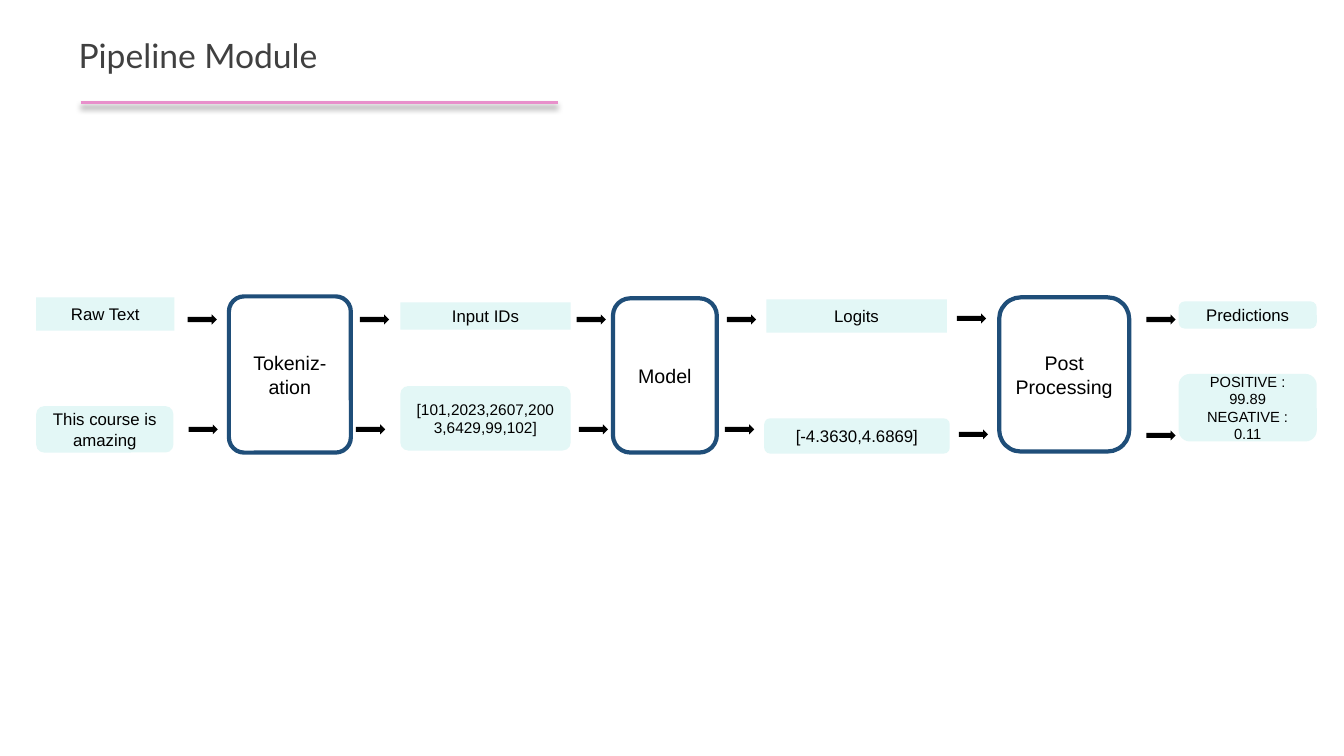
import pptx
import pptx.dml.color
import pptx.enum.shapes
import pptx.enum.text
import pptx.oxml
import pptx.oxml.ns
import pptx.util

# Content: lengths in px, 100 px to the inch
SLIDE_SIZE = (1333, 750)
TITLE = "Pipeline Module"
TITLE_BOX = (68, -15, 1150, 145)
TITLE_RULE = (80, 102, 553, 102)

# Text lines, box (left, top, width, height), corner ratio, font size
STAGES = [
    (["Tokeniz-ation"], (227, 294, 121, 155), 0.125, 14),
    (["Model"], (608, 296, 103, 153), 0.167, 14),
    (["Post Processing"], (991, 295, 129, 153), 0.167, 14),
]
DATA_LABELS = [
    (["Raw Text"], (36, 295, 137, 33), 0, 12),
    (["Input IDs"], (397, 300, 169, 27), 0, 12),
    (["Logits"], (760, 297, 179, 33), 0, 12),
    (["Predictions"], (1169, 299, 137, 27), 0.226, 12),
]
DATA_EXAMPLES = [
    (["This course is amazing"], (36, 403, 136, 46), 0.167, 12),
    (["[101,2023,2607,2003,6429,99,102]"], (397, 383, 169, 64), 0.125, 11),
    (["[-4.3630,4.6869]"], (758, 415, 184, 35), 0.167, 12),
    (["POSITIVE : 99.89", "NEGATIVE : 0.11"], (1169, 371, 137, 67), 0.167, 10.5),
]

# Left and top of each arrow
ARROWS = [
    (186, 312), (357, 312), (572, 312), (721, 312), (949, 311), (1137, 312),
    (187, 421), (353, 421), (574, 421), (719, 421), (951, 426), (1137, 427),
]
ARROW_SIZE = (29, 10)

COLORS = {
    "title": "404040",
    "rule": "E890CB",
    "text": "000000",
    "arrow": "000000",
    "stage": "FFFFFF",
    "stage_line": "1F4E79",
    "data": "E3F7F6",
}
FRAME_FORMAT = {
    "word_wrap": True,
    "auto_size": pptx.enum.text.MSO_AUTO_SIZE.NONE,
    "vertical_anchor": pptx.enum.text.MSO_ANCHOR.MIDDLE,
    "margin_left": pptx.util.Inches(0.1),
    "margin_right": pptx.util.Inches(0.1),
    "margin_top": pptx.util.Inches(0.05),
    "margin_bottom": pptx.util.Inches(0.05),
}
RULE_SHADOW = (
    f'<a:effectLst {pptx.oxml.ns.nsdecls("a")}>'
    '<a:outerShdw blurRad="50800" dist="38100" dir="5400000" algn="t" rotWithShape="0">'
    '<a:srgbClr val="000000"><a:alpha val="40000"/></a:srgbClr>'
    '</a:outerShdw></a:effectLst>'
)
PX = 9144
SHAPES = pptx.enum.shapes.MSO_SHAPE
ALIGN = pptx.enum.text.PP_ALIGN


def emu(lengths):
    return [length * PX for length in lengths]


def color(name):
    return pptx.dml.color.RGBColor.from_string(COLORS[name])


def set_format(target, values):
    for name, value in values.items():
        setattr(target, name, value)


def write(frame, lines, font_name, size, color_name, paragraph_format):
    set_format(frame, FRAME_FORMAT)
    for index, line in enumerate(lines):
        paragraph = frame.add_paragraph() if index else frame.paragraphs[0]
        paragraph.text = line
        set_format(paragraph, paragraph_format)
        set_format(paragraph.font, {"name": font_name, "size": pptx.util.Pt(size)})
        paragraph.font.color.rgb = color(color_name)


def add_filled(slide, kind, box, fill, line=None):
    shape = slide.shapes.add_shape(kind, *emu(box))
    shape.shadow.inherit = False
    shape.fill.solid()
    shape.fill.fore_color.rgb = color(fill)
    if line:
        shape.line.color.rgb = color(line)
        shape.line.width = pptx.util.Pt(3)
    else:
        shape.line.fill.background()
    return shape


def add_title(slide):
    rule = slide.shapes.add_connector(
        pptx.enum.shapes.MSO_CONNECTOR.STRAIGHT, *emu(TITLE_RULE))
    rule.line.color.rgb = color("rule")
    rule.line.width = pptx.util.Pt(2.25)
    rule.element.spPr.append(pptx.oxml.parse_xml(RULE_SHADOW))

    title = slide.shapes.title
    set_format(title, dict(zip(("left", "top", "width", "height"), emu(TITLE_BOX))))
    write(title.text_frame, [TITLE], "Lato", 24, "title",
          {"alignment": ALIGN.LEFT, "line_spacing": 0.9})


def main():
    presentation = pptx.Presentation()
    presentation.slide_width, presentation.slide_height = emu(SLIDE_SIZE)
    slide = presentation.slides.add_slide(
        presentation.slide_layouts.get_by_name("Title Only"))
    add_title(slide)

    # Pipeline stages and the data passed between them
    for boxes, fill, line in (
        (STAGES, "stage", "stage_line"),
        (DATA_LABELS + DATA_EXAMPLES, "data", None),
    ):
        for lines, box, corner, size in boxes:
            shape = add_filled(slide, SHAPES.ROUNDED_RECTANGLE, box, fill, line)
            shape.adjustments[0] = corner
            write(shape.text_frame, lines, "Arial", size, "text",
                  {"alignment": ALIGN.CENTER})

    # Flow arrows
    for position in ARROWS:
        add_filled(slide, SHAPES.RIGHT_ARROW, position + ARROW_SIZE, "arrow")

    presentation.save("out.pptx")


if __name__ == "__main__":
    main()
